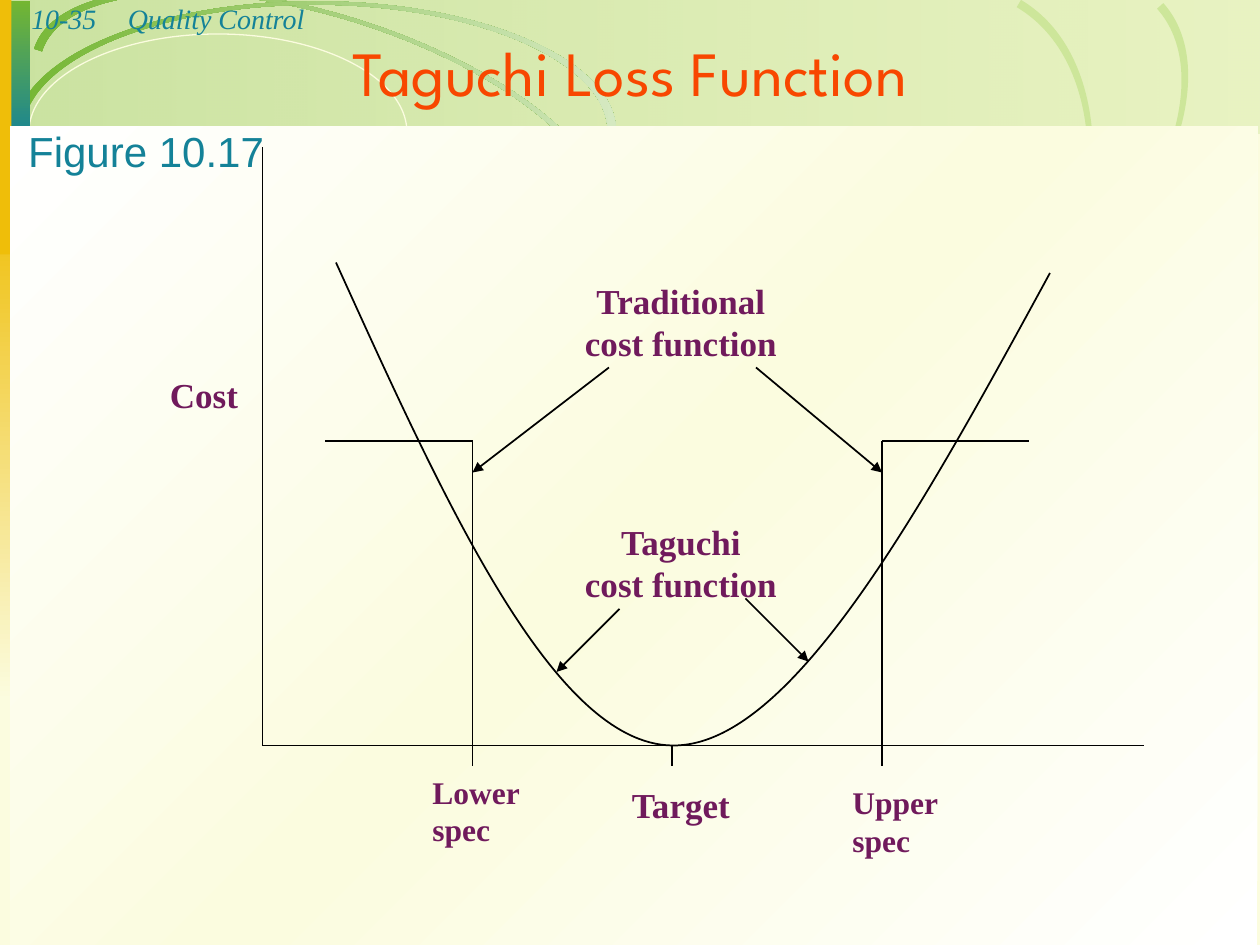
from lxml import etree
from pptx import Presentation
from pptx.dml.color import RGBColor
from pptx.enum.shapes import MSO_CONNECTOR, MSO_SHAPE
from pptx.enum.text import MSO_ANCHOR, MSO_AUTO_SIZE, PP_ALIGN
from pptx.oxml.ns import qn
from pptx.util import Inches, Pt

RECT, OVAL = MSO_SHAPE.RECTANGLE, MSO_SHAPE.OVAL
STRAIGHT = MSO_CONNECTOR.STRAIGHT
LEFT, MID = PP_ALIGN.LEFT, PP_ALIGN.CENTER
TOP, CENTRE = MSO_ANCHOR.TOP, MSO_ANCHOR.MIDDLE
FIT, FIXED = MSO_AUTO_SIZE.SHAPE_TO_FIT_TEXT, MSO_AUTO_SIZE.NONE
SERIF = "Times New Roman"
CREAM, GREEN, LIME = "FBFCDF", "74B632", "CDE69A"
PALE, TEAL, GOLD = "D5E9C1", "148298", "EFBE09"
PLUM, RED, BLACK, WHITE = "701A5C", "F84700", "000000", "FFFFFF"
MOSS = "CEDE73"


def cells(*nums):
    """Lengths on the slide's grid of 120 columns and 90 rows, 12 to the inch."""
    return [round(Inches(1) * n / 12) for n in nums]


def hue(code):
    return RGBColor.from_string(code)


def paint(shape, fill=None, line=None, wide=1):
    """Fill is None, a hex colour, or (angle, [(position, hex, alpha), ...])."""
    shape.shadow.inherit = False
    if fill is None:
        shape.fill.background()
    elif isinstance(fill, str):
        shape.fill.solid()
        shape.fill.fore_color.rgb = hue(fill)
    else:
        blend(shape, *fill)
    if line:
        shape.line.color.rgb = hue(line)
        shape.line.width = Pt(wide)
    else:
        shape.line.fill.background()


def blend(shape, angle, stops):
    shape.fill.gradient()
    shape.fill.gradient_angle = -angle % 360
    group = shape.element.spPr.find(".//" + qn("a:gsLst"))
    for old in list(group):
        group.remove(old)
    for pos, code, alpha in stops:
        stop = etree.SubElement(group, qn("a:gs"), pos=str(pos * 1000))
        tint = etree.SubElement(stop, qn("a:srgbClr"), val=code)
        if alpha < 100:
            etree.SubElement(tint, qn("a:alpha"), val=str(alpha * 1000))


def fade(angle, start, end):
    return angle, [(0, start, 100), (100, end, 100)]


def block(slide, kind, box, **look):
    paint(slide.shapes.add_shape(kind, *cells(*box)), **look)


def curve(slide, points, starts, close=False, **look):
    """Outline whose segments at each start, three by three, become one curve."""
    first, *rest = [cells(*p) for p in points]
    form = slide.shapes.build_freeform(*first, scale=1.0)
    form.add_line_segments(rest, close=close)
    shape = form.convert_to_shape()
    track = shape.element.spPr.find(".//" + qn("a:path"))
    lines = track.findall(qn("a:lnTo"))
    for i in starts:
        bend = etree.Element(qn("a:cubicBezTo"))
        lines[i].addprevious(bend)
        for line in lines[i:i + 3]:
            bend.append(line[0])
            track.remove(line)
    paint(shape, **look)
    return shape, track


def swoosh(slide, mid, high, turn, fill, flip=False):
    """Thin upper half ring, turned clockwise around mid."""
    def arc(rx, ry, k=0.55):
        spots = ((-1, 0), (-1, -k), (-k, -1), (0, -1), (k, -1), (1, -k), (1, 0))
        return [(mid[0] + x * rx, mid[1] + y * ry) for x, y in spots]

    wide = 28.62
    points = arc(wide, high) + arc(wide - 0.8, high - 0.34)[::-1]
    shape, track = curve(slide, points, (0, 3, 7, 10), True, fill=fill)
    # The frame spans the whole ring, so that it turns around its centre
    shape.height *= 2
    track.set("h", str(2 * int(track.get("h"))))
    shape.rotation = turn
    if flip:
        shape.element.spPr.find(qn("a:xfrm")).set("flipV", "1")


def rule(slide, ends, arrow=False):
    line = slide.shapes.add_connector(STRAIGHT, *cells(*ends))
    line.line.color.rgb = hue(BLACK)
    line.line.width = Pt(1)
    props = line.element.spPr
    if arrow:
        etree.SubElement(props.find(qn("a:ln")), qn("a:tailEnd"), type="triangle")
    etree.SubElement(props, qn("a:effectLst"))


def write(slide, text, box, size=20, font=SERIF, color=PLUM, bold=False,
          slant=False, align=LEFT, anchor=TOP, wrap=False):
    frame = slide.shapes.add_textbox(*cells(*box)).text_frame
    frame.word_wrap = wrap
    frame.auto_size = FIXED if wrap else FIT
    frame.vertical_anchor = anchor
    para = frame.paragraphs[0]
    para.text = text
    para.alignment = align
    for run in para.runs:
        face = run.font
        face.name, face.size = font, Pt(size)
        face.bold, face.italic = bold, slant
        face.color.rgb = hue(color)


def backdrop(slide):
    slide.background.fill.solid()
    slide.background.fill.fore_color.rgb = hue(CREAM)
    block(slide, RECT, (0.12, 0, 120, 12.7),
          fill=(0, [(0, GREEN, 36), (100, "BCDD7B", 29)]))
    swoosh(slide, (30.54, 13.26), 11.94, 17.5, fade(342, GREEN, PALE))
    block(slide, OVAL, (2.76, 3.24, 36, 18.7), line=CREAM, wide=0.75)
    block(slide, RECT, (0, 18.6, 2.64, 48.1), fill=fade(90, GOLD, CREAM))
    swoosh(slide, (89.46, 19.38), 15.54, 318.2, LIME, flip=True)
    swoosh(slide, (82.62, 24.6), 18.36, 300.7, LIME, flip=True)
    swoosh(slide, (30.06, 12.54), 12.42, 0, fade(0, GREEN, PALE))
    block(slide, RECT, (0.12, 0.12, 2.76, 13.7), fill=fade(90, GREEN, TEAL))
    block(slide, RECT, (0, 0, 1.08, 24.24), fill=GOLD)
    tints = (TEAL, MOSS, GOLD, RED, CREAM)
    for i, wide in enumerate((22, 22, 22, 43.8)):
        block(slide, RECT, (0.96 + 21.9 * i, 12.72, wide, 0.96),
              fill=fade(0, *tints[i:i + 2]))
    block(slide, RECT, (0.96, 12.04, 118.8, 78),
          fill=(45, [(0, WHITE, 100), (50, CREAM, 100), (100, WHITE, 100)]))


def graph(slide):
    curve(slide, [(32, 25), (42.4, 47.9), (52.7, 70.8), (64, 71),
                  (75.3, 71.2), (87.7, 48.6), (100, 26)], (0, 3), line=BLACK)
    base, step, tick = 71, 42, 73
    rule(slide, (25, base, 109, base))
    rule(slide, (25, base, 25, 14))
    rule(slide, (64, base, 64, tick))
    for spec, end in ((45, 31), (84, 98)):
        rule(slide, (spec, step, spec, tick))
        rule(slide, (spec, step, end, step))
    for ends in ((72, 35, 84, 45), (58, 35, 45, 45),
                 (71, 57, 77, 63), (59, 58, 53, 64)):
        rule(slide, ends, arrow=True)


def labels(slide):
    write(slide, "Cost", (15, 35, 8.9, 5.3), bold=True)
    write(slide, "Target", (59, 74, 12, 5.3), bold=True)
    write(slide, "Lower\nspec", (40, 73, 10.7, 8.4), size=18, bold=True)
    write(slide, "Upper\nspec", (80, 74, 10.6, 8.4), size=18, bold=True)
    for name, row in (("Traditional", 26), ("Taguchi", 49)):
        write(slide, name + "\ncost function", (54.5, row, 20.7, 9.2),
              bold=True, align=MID)
    write(slide, "Figure 10.17", (1.5, 11.4, 24.9, 6),
          size=24, font="Arial", color=TEAL)


def main():
    deck = Presentation()
    deck.slide_width, deck.slide_height = Inches(10), Inches(7.5)
    slide = deck.slides.add_slide(deck.slide_layouts[6])
    backdrop(slide)
    for text, left, wide in (("10-35", 1.8, 9.6), ("Quality Control", 11, 103)):
        write(slide, text, (left, -0.45, wide, 4.4), size=16, color=TEAL,
              slant=True, wrap=True)
    write(slide, "Taguchi Loss Function", (0, 0.75, 120, 12), size=36,
          font="League Spartan", color=RED, align=MID, anchor=CENTRE, wrap=True)
    graph(slide)
    labels(slide)
    deck.save("out.pptx")


if __name__ == "__main__":
    main()
